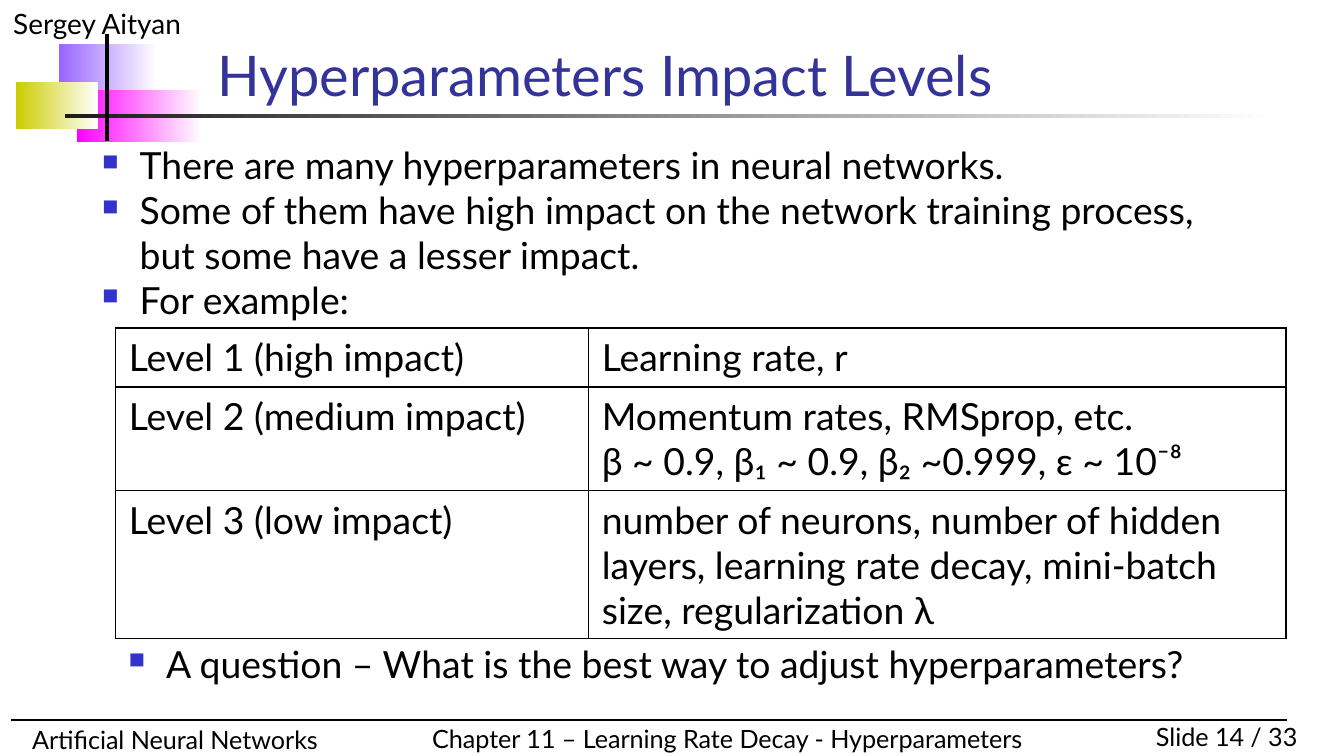
from dataclasses import dataclass

from lxml import etree
from pptx import Presentation
from pptx import util as u
from pptx.dml.color import RGBColor
from pptx.enum import shapes, text
from pptx.oxml import ns


@dataclass(frozen=True)
class Theme:
    font: str = "Lato"
    ink: str = "000000"
    white: str = "FFFFFF"
    title: str = "333399"
    mark: str = "3333CC"
    head: float = 30
    body: float = 20
    name: float = 15
    foot: float = 13.5


@dataclass(frozen=True)
class Box:
    left: float
    top: float
    width: float
    height: float

    def cm(self) -> list:
        return [u.Cm(v) for v in (self.left, self.top, self.width, self.height)]


@dataclass(frozen=True)
class Block:
    box: Box
    tint: str


@dataclass(frozen=True)
class Label:
    box: Box
    words: str
    size: float
    tint: str = Theme.ink
    align: text.PP_ALIGN = text.PP_ALIGN.LEFT
    anchor: text.MSO_ANCHOR = text.MSO_ANCHOR.TOP
    wrap: bool = True
    mark: bool = False


@dataclass(frozen=True)
class Rule:
    start: tuple
    end: tuple
    weight: float


THEME = Theme()

BLOCKS = [
    Block(Box(1.12, 0.84, 1.85, 0.99), "9966FF"),
    Block(Box(1.45, 1.7, 2.36, 0.99), "FF00FF"),
    Block(Box(0.3, 1.55, 1.55, 0.89), "CCCC00"),
    Block(Box(1.22, 2.15, 22.86, 0.08), "1C1C1C"),
]

RULES = [
    Rule((0.2, 13.61), (24.33, 13.61), 0.75),
    Rule((2.03, 0.64), (2.03, 2.67), 2),
]

LABELS = [
    Label(Box(0, 0, 6.35, 0.89), "Sergey Aityan", THEME.name),
    Label(Box(20.96, 13.51, 3.81, 0.84), "Slide 14 / 33", THEME.foot,
          align=text.PP_ALIGN.RIGHT),
    Label(Box(0.36, 13.56, 9.4, 0.84), "Artificial Neural Networks", THEME.foot),
    Label(Box(7.92, 13.54, 11.94, 0.84),
          "Chapter 11 – Learning Rate Decay - Hyperparameters", THEME.foot,
          wrap=False),
    Label(Box(3.86, 0.79, 18.67, 1.37), "Hyperparameters Impact Levels",
          THEME.head, THEME.title, anchor=text.MSO_ANCHOR.BOTTOM),
    Label(Box(1.68, 2.57, 22.12, 1.37),
          "There are many hyperparameters in neural networks.\n"
          "Some of them have high impact on the network training process, "
          "but some have a lesser impact.\n"
          "For example:", THEME.body, mark=True),
    Label(Box(2.18, 11.99, 21.08, 1.12),
          "A question – What is the best way to adjust hyperparameters?",
          THEME.body, mark=True),
]

GRID = Box(2.18, 6.2, 22.12, 5.87)
COLS = [8.94, 13.18]
ROWS = [1.12, 1.95, 2.8]
LEVELS = [
    ("Level 1 (high impact)", "Learning rate, r"),
    ("Level 2 (medium impact)",
     "Momentum rates, RMSprop, etc.\nβ ~ 0.9, β₁ ~ 0.9, β₂ ~0.999, ε ~ 10⁻⁸"),
    ("Level 3 (low impact)",
     "number of neurons, number of hidden layers, learning rate decay, "
     "mini-batch size, regularization λ"),
]


def rgb(tint: str) -> RGBColor:
    return RGBColor.from_string(tint)


def add(parent, tag: str, **attrs: str):
    return etree.SubElement(parent, ns.qn(tag), attrs)


def bullet(para) -> None:
    props = para._p.get_or_add_pPr()
    props.set("marL", str(u.Cm(0.71)))
    props.set("indent", str(u.Cm(-0.71)))
    add(add(props, "a:buClr"), "a:srgbClr", val=THEME.mark)
    add(props, "a:buSzPct", val="60000")
    add(props, "a:buChar", char="■")


def style(frame, size: float, tint: str) -> None:
    for para in frame.paragraphs:
        for run in para.runs:
            run.font.name = THEME.font
            run.font.size = u.Pt(size)
            run.font.color.rgb = rgb(tint)


def draw_block(slide, block: Block) -> None:
    shape = slide.shapes.add_shape(shapes.MSO_SHAPE.RECTANGLE, *block.box.cm())
    shape.shadow.inherit = False
    shape.line.fill.background()
    shape.fill.gradient()
    shape.fill.gradient_angle = 0
    for stop, tint in zip(shape.fill.gradient_stops, (block.tint, THEME.white)):
        stop.color.rgb = rgb(tint)


def draw_rule(slide, rule: Rule) -> None:
    ends = [u.Cm(v) for v in rule.start + rule.end]
    line = slide.shapes.add_connector(shapes.MSO_CONNECTOR.STRAIGHT, *ends)
    line.line.color.rgb = rgb(THEME.ink)
    line.line.width = u.Pt(rule.weight)
    add(line._element.spPr, "a:effectLst")


def draw_label(slide, label: Label) -> None:
    frame = slide.shapes.add_textbox(*label.box.cm()).text_frame
    frame.word_wrap = label.wrap
    frame.vertical_anchor = label.anchor
    frame.text = label.words
    for para in frame.paragraphs:
        if label.mark:
            bullet(para)
        para.alignment = label.align
    style(frame, label.size, label.tint)


def border(cell) -> None:
    props = cell._tc.get_or_add_tcPr()
    for side in "LRTB":
        edge = add(props, f"a:ln{side}", w=str(u.Pt(1)))
        add(add(edge, "a:solidFill"), "a:srgbClr", val=THEME.ink)


def draw_table(slide) -> None:
    table = slide.shapes.add_table(len(ROWS), len(COLS), *GRID.cm()).table
    table.first_row = table.horz_banding = False
    for col, width in zip(table.columns, COLS):
        col.width = u.Cm(width)
    for row, height, level in zip(table.rows, ROWS, LEVELS):
        row.height = u.Cm(height)
        for cell, words in zip(row.cells, level):
            border(cell)
            cell.fill.background()
            cell.text_frame.text = words
            style(cell.text_frame, THEME.body, THEME.ink)


def main() -> None:
    deck = Presentation()
    deck.slide_width, deck.slide_height = u.Cm(25.4), u.Cm(14.29)
    slide = deck.slides.add_slide(deck.slide_layouts[6])
    for block in BLOCKS:
        draw_block(slide, block)
    for rule in RULES:
        draw_rule(slide, rule)
    for label in LABELS:
        draw_label(slide, label)
    draw_table(slide)
    deck.save("out.pptx")


if __name__ == "__main__":
    main()
